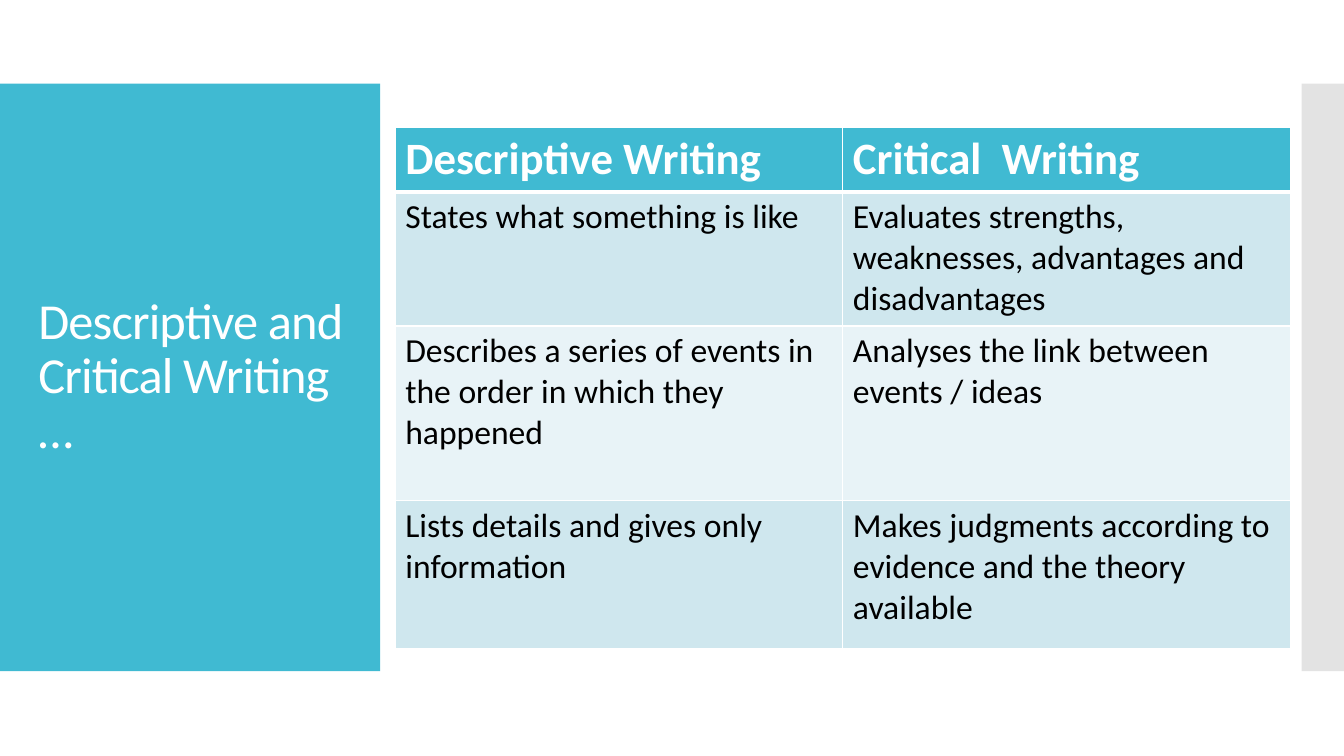
from lxml import etree
from pptx import Presentation
from pptx.dml.color import RGBColor
from pptx.enum.shapes import MSO_SHAPE as Shape
from pptx.enum.text import MSO_ANCHOR as Anchor, MSO_AUTO_SIZE as AutoSize, PP_ALIGN as Align
from pptx.oxml.ns import qn
from pptx.util import Inches, Pt

# Content
TITLE = "Descriptive and Critical Writing …"
ROWS = [
    ("Descriptive Writing", "Critical  Writing"),
    ("States what something is like",
     "Evaluates strengths, weaknesses, advantages and disadvantages"),
    ("Describes a series of events in the order in which they happened",
     "Analyses the link between events / ideas"),
    ("Lists details and gives only information",
     "Makes judgments according to evidence and the theory available"),
]

# Layout and formats
TEAL, GREY, WHITE, BLACK = "40BAD2", "C8C8C8", "FFFFFF", "000000"
BAND_FILLS = ("CFE7EE", "E8F3F7")
SLIDE_WIDTH, SLIDE_HEIGHT = 13.33, 7.5
BAND_TOP, BAND_HEIGHT = 0.83, 5.83
BANNER_WIDTH, EDGE_WIDTH = 3.77, 0.42
TITLE_BOX = (0.28, 1.23, 3.22, 5.03)
TABLE_LEFT, TABLE_TOP, TABLE_WIDTH = 3.92, 1.26, 8.88
ROW_HEIGHTS = (0.63, 1.33, 1.73, 1.47)
TITLE_FONT = {"name": "Calibri", "size": Pt(36), "bold": False}
HEADER_FONT = {"name": "Calibri", "size": Pt(32), "bold": True}
BODY_FONT = {"name": "Calibri", "size": Pt(24), "bold": False}


def color(value):
    return RGBColor.from_string(value)


def paint(item, value):
    item.fill.solid()
    item.fill.fore_color.rgb = color(value)


def format_font(font, values, text_color):
    for name, value in values.items():
        setattr(font, name, value)
    font.color.rgb = color(text_color)


def add_band(left, width, fill):
    band = slide.shapes.add_shape(
        Shape.RECTANGLE, *map(Inches, (left, BAND_TOP, width, BAND_HEIGHT)))
    band.shadow.inherit = False
    paint(band, fill)
    band.line.fill.background()
    title.element.addprevious(band.element)
    return band


def add_borders(cell, widths):
    properties = cell._tc.get_or_add_tcPr()
    for index, (side, width) in enumerate(widths.items()):
        line = etree.Element(qn(f"a:ln{side}"), w=str(Pt(width)))
        fill = etree.SubElement(line, qn("a:solidFill"))
        etree.SubElement(fill, qn("a:srgbClr"), val=WHITE)
        properties.insert(index, line)


deck = Presentation()
deck.slide_width, deck.slide_height = Inches(SLIDE_WIDTH), Inches(SLIDE_HEIGHT)
slide = deck.slides.add_slide(deck.slide_layouts[5])
title = slide.shapes.title

# Side bands, behind the title
add_band(0, BANNER_WIDTH, TEAL)
edge = add_band(SLIDE_WIDTH - EDGE_WIDTH, EDGE_WIDTH, GREY)
edge_color = edge.fill._xPr.find(qn("a:solidFill"))[0]
etree.SubElement(edge_color, qn("a:alpha"), val="50000")

# Title
title.left, title.top, title.width, title.height = map(Inches, TITLE_BOX)
frame = title.text_frame
frame.word_wrap, frame.auto_size = True, AutoSize.NONE
frame.vertical_anchor = Anchor.MIDDLE
para = frame.paragraphs[0]
para.alignment, para.line_spacing = Align.LEFT, 0.9
span = para.add_run()
span.text = TITLE
format_font(span.font, TITLE_FONT, WHITE)
span.font._element.set("spc", "-60")

# Comparison table
table = slide.shapes.add_table(
    len(ROWS), len(ROWS[0]),
    *map(Inches, (TABLE_LEFT, TABLE_TOP, TABLE_WIDTH, sum(ROW_HEIGHTS)))).table
for column in table.columns:
    column.width = Inches(TABLE_WIDTH / len(ROWS[0]))
for row_index, (texts, height) in enumerate(zip(ROWS, ROW_HEIGHTS)):
    table.rows[row_index].height = Inches(height)
    header = row_index == 0
    fill = TEAL if header else BAND_FILLS[(row_index - 1) % 2]
    for column_index, text in enumerate(texts):
        cell = table.cell(row_index, column_index)
        paint(cell, fill)
        add_borders(cell, {"L": 1, "R": 1, "T": 3 if row_index == 1 else 1,
                           "B": 3 if header else 1})
        span = cell.text_frame.paragraphs[0].add_run()
        span.text = text
        format_font(span.font, HEADER_FONT if header else BODY_FONT,
                    WHITE if header else BLACK)

deck.save("out.pptx")
